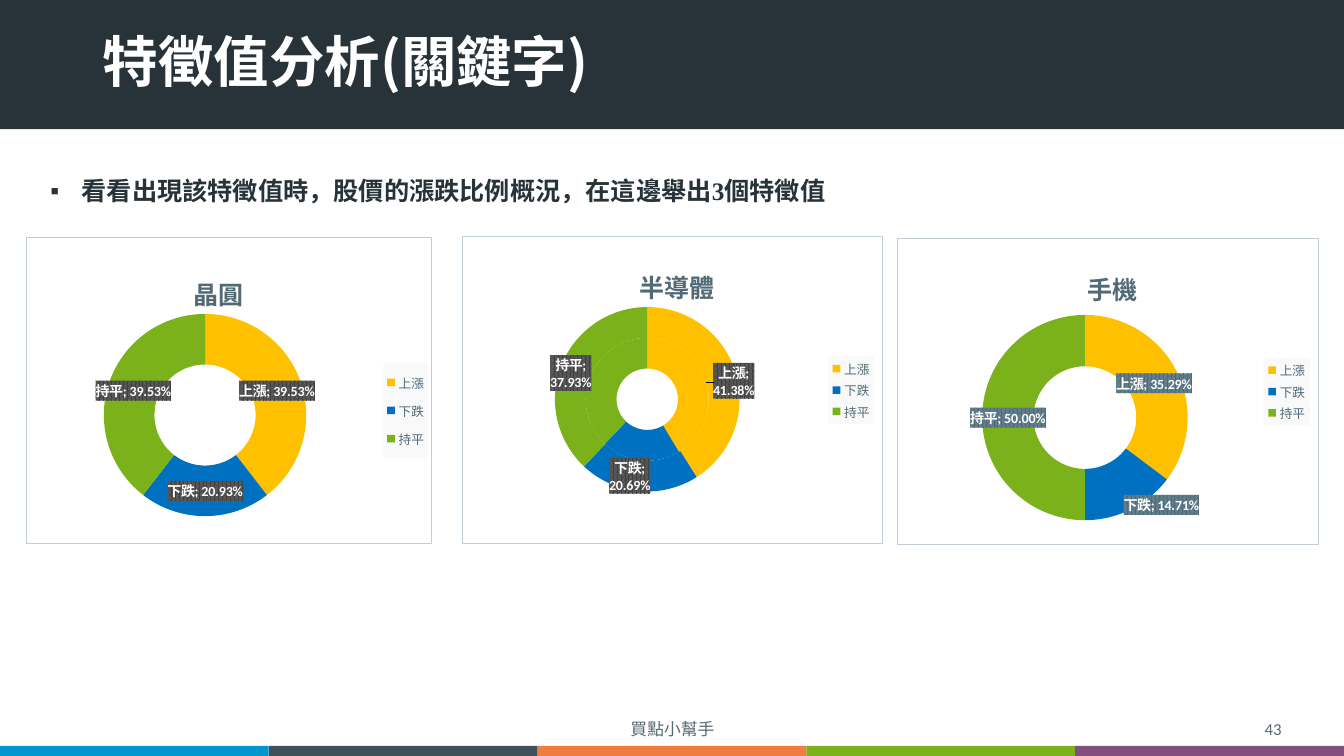
import copy
from dataclasses import dataclass

import pptx
import pptx.chart.data
import pptx.dml.color
import pptx.enum.chart
import pptx.enum.shapes
import pptx.enum.text
import pptx.oxml
import pptx.oxml.ns
import pptx.util

Inches = pptx.util.Inches
Pt = pptx.util.Pt
qn = pptx.oxml.ns.qn
ALIGN = pptx.enum.text.PP_ALIGN
NAMESPACES = pptx.oxml.ns.nsdecls("a", "c")
STRIPES = ["0095CD", "40515A", "F17C3F", "7BB21B", "814E7E"]
TRENDS = {"上漲": "FFC000", "下跌": "0070C0", "持平": "7BB21B"}
INK, SLATE, GREY = "273339", "516A76", "576973"


@dataclass
class Keyword:
    """One keyword's doughnut: data, and places as fractions of its box."""
    name: str
    box: tuple
    series: dict
    title_at: tuple
    plot_at: tuple
    legend_at: tuple
    label_colors: tuple
    label_shifts: dict


DARK, BLUE_GREY = ("404040", "595959"), (SLATE, "627F8D")
KEYWORDS = [
    Keyword("晶圓", (0.26, 2.35, 4.03, 3.05), {"晶圓": (0.3953, 0.2093, 0.3953)},
            (0.4, 0.1), (0.19, 0.25, 0.5, 0.66), (0.88, 0.41, 0.11, 0.31), DARK, {}),
    Keyword("半導體", (4.58, 2.34, 4.18, 3.06),
            {"Series 1": (0.4138, 0.2069, 0.3793), "Series 2": (41, 21, 38)},
            (0.41, 0.08), (0.22, 0.23, 0.44, 0.6), (0.87, 0.39, 0.11, 0.22), DARK,
            {0: (0.1, -0.02), 1: (-0.03, 0.1), 2: (-0.08, -0.03)}),
    Keyword("手機", (8.9, 2.36, 4.18, 3.05), {"手機": (0.3529, 0.1471, 0.5)},
            (0.44, 0.08), (0.2, 0.25, 0.49, 0.67), (0.87, 0.39, 0.11, 0.22), BLUE_GREY,
            {1: (0.1, 0.06)}),
]


def rgb(value):
    """Turn a hex string into a colour."""
    return pptx.dml.color.RGBColor.from_string(value)


def set_font(font, size, color, bold=False, name="Calibri"):
    """Format a font."""
    font.size, font.bold, font.name = Pt(size), bold, name
    font.color.rgb = rgb(color)


def move(shape, box):
    """Put a shape at a box given in inches."""
    shape.left, shape.top, shape.width, shape.height = map(Inches, box)


def add_bar(page, box, color):
    """Draw a plain filled rectangle."""
    bar = page.shapes.add_shape(pptx.enum.shapes.MSO_SHAPE.RECTANGLE, *map(Inches, box))
    bar.shadow.inherit = False
    bar.fill.solid()
    bar.fill.fore_color.rgb = rgb(color)
    bar.line.fill.background()


def add_header(page, box):
    """Place the title on its dark band."""
    left, top, width, height = box
    add_bar(page, box, INK)
    title = page.shapes.title
    title.element.getparent().append(title.element)
    move(title, (left + 0.92, top + 0.28, 11.5, 0.74))
    frame = title.text_frame
    frame.text = "特徵值分析(關鍵字)"
    frame.auto_size = pptx.enum.text.MSO_AUTO_SIZE.NONE
    frame.vertical_anchor = pptx.enum.text.MSO_ANCHOR.MIDDLE
    para = frame.paragraphs[0]
    para.alignment, para.line_spacing = ALIGN.LEFT, 0.9
    set_font(para.font, 39.6, "FFFFFF", True, "Noto Sans CJK SC")


def add_statement(page, box):
    """Fill the body placeholder with the bulleted statement."""
    body = page.placeholders[1]
    move(body, box)
    frame = body.text_frame
    frame.text = "看看出現該特徵值時，股價的漲跌比例概況，在這邊舉出3個特徵值"
    frame.auto_size = pptx.enum.text.MSO_AUTO_SIZE.NONE
    para = frame.paragraphs[0]
    para.line_spacing, para.space_before, para.space_after = 1.07, Pt(0), Pt(8)
    properties = para._p.get_or_add_pPr()
    properties.set("marL", str(Inches(0.31)))
    properties.set("indent", str(Inches(-0.31)))
    properties.append(pptx.oxml.parse_xml(f'<a:buChar {NAMESPACES} char="▪"/>'))
    set_font(para.font, 18, INK, True, "Times New Roman")


def add_footer(page, box):
    """Place the footer text, page number and coloured stripes."""
    left, top, width, height = box
    for text, offset, span, alignment in [("買點小幫手", 4.42, 4.5, ALIGN.CENTER),
                                          ("43", 9.81, 3, ALIGN.RIGHT)]:
        note = page.shapes.add_textbox(*map(Inches, (left + offset, top, span, 0.31)))
        frame = note.text_frame
        frame.word_wrap = True
        frame.vertical_anchor = pptx.enum.text.MSO_ANCHOR.MIDDLE
        frame.text = text
        frame.paragraphs[0].alignment = alignment
        set_font(frame.paragraphs[0].font, 12, GREY)
    step = width / len(STRIPES)
    for index, color in enumerate(STRIPES):
        add_bar(page, (left + index * step, top + height - 0.1, step, 0.1), color)


def layout_xml(place, modes=""):
    """Build a manual chart layout from fractions."""
    values = "".join(f'<c:{tag} val="{value}"/>' for tag, value in zip("xywh", place))
    return pptx.oxml.parse_xml(
        f"<c:layout {NAMESPACES}><c:manualLayout>{modes}{values}</c:manualLayout></c:layout>")


def set_layout(element, place, index, target=""):
    """Give a chart part a manual place, as its child at the index."""
    for old in element.findall(qn("c:layout")):
        element.remove(old)
    modes = target + '<c:xMode val="edge"/><c:yMode val="edge"/>'
    element.insert(index, layout_xml(place, modes))


def style_labels(series, keyword):
    """Show category and value on patterned labels, shifted where asked."""
    labels = series.data_labels
    labels.show_category_name = labels.show_value = True
    labels.number_format, labels.number_format_is_linked = "0.00%", False
    set_font(labels.font, 10, "FFFFFF", True)
    element = labels._element
    front, back = keyword.label_colors
    element.find(qn("c:txPr")).addprevious(pptx.oxml.parse_xml(
        f'<c:spPr {NAMESPACES}><a:pattFill prst="pct75">'
        f'<a:fgClr><a:srgbClr val="{front}"/></a:fgClr>'
        f'<a:bgClr><a:srgbClr val="{back}"/></a:bgClr></a:pattFill></c:spPr>'))
    separator = pptx.oxml.parse_xml(f"<c:separator {NAMESPACES}>; </c:separator>")
    element.find(qn("c:showBubbleSize")).addnext(separator)
    shared = [child for child in element if child.tag != qn("c:showLeaderLines")]
    for position, (index, shift) in enumerate(keyword.label_shifts.items()):
        label = pptx.oxml.parse_xml(f'<c:dLbl {NAMESPACES}><c:idx val="{index}"/></c:dLbl>')
        label.append(layout_xml(shift))
        label.extend(copy.deepcopy(child) for child in shared)
        element.insert(position, label)


def add_doughnut(page, keyword):
    """Draw a keyword's doughnut chart in its box."""
    data = pptx.chart.data.CategoryChartData(number_format="General")
    data.categories = list(TRENDS)
    for name, values in keyword.series.items():
        data.add_series(name, values)
    chart = page.shapes.add_chart(pptx.enum.chart.XL_CHART_TYPE.DOUGHNUT,
                                  *map(Inches, keyword.box), data).chart
    set_font(chart.font, 10, INK)
    chart.has_title = True
    frame = chart.chart_title.text_frame
    frame.text = keyword.name
    set_font(frame.paragraphs[0].font, 18, SLATE, True)
    set_layout(chart.chart_title._element, keyword.title_at, 1)
    chart.has_legend = True
    legend = chart.legend
    legend.position = pptx.enum.chart.XL_LEGEND_POSITION.RIGHT
    legend.include_in_layout = False
    set_font(legend.font, 9, SLATE)
    set_layout(legend._element, keyword.legend_at, 1)
    legend._element.find(qn("c:txPr")).addprevious(pptx.oxml.parse_xml(
        f'<c:spPr {NAMESPACES}><a:solidFill><a:srgbClr val="F9F9F9"/></a:solidFill></c:spPr>'))
    area = chart._chartSpace.chart.plotArea
    set_layout(area, keyword.plot_at, 0, '<c:layoutTarget val="inner"/>')
    chart._chartSpace.chart.addnext(pptx.oxml.parse_xml(
        f'<c:spPr {NAMESPACES}><a:solidFill><a:srgbClr val="FFFFFF"/></a:solidFill>'
        f'<a:ln w="{Pt(0.75)}"><a:solidFill><a:srgbClr val="C2CED5"/></a:solidFill></a:ln></c:spPr>'))
    plot = chart.plots[0]
    plot.vary_by_categories = True
    for series in plot.series:
        for index, color in enumerate(TRENDS.values()):
            wedge = series.points[index].format
            wedge.fill.solid()
            wedge.fill.fore_color.rgb = rgb(color)
            wedge.line.fill.background()
    style_labels(plot.series[0], keyword)


def main():
    """Build and save the slide."""
    deck = pptx.Presentation()
    deck.slide_width, deck.slide_height = Inches(13.33), Inches(7.5)
    page = deck.slides.add_slide(deck.slide_layouts[1])
    add_header(page, (0, -0.01, 13.33, 1.29))
    add_statement(page, (0.4, 1.67, 11.68, 0.4))
    for keyword in KEYWORDS:
        add_doughnut(page, keyword)
    add_footer(page, (0, 7.07, 13.33, 0.43))
    deck.save("out.pptx")


if __name__ == "__main__":
    main()
